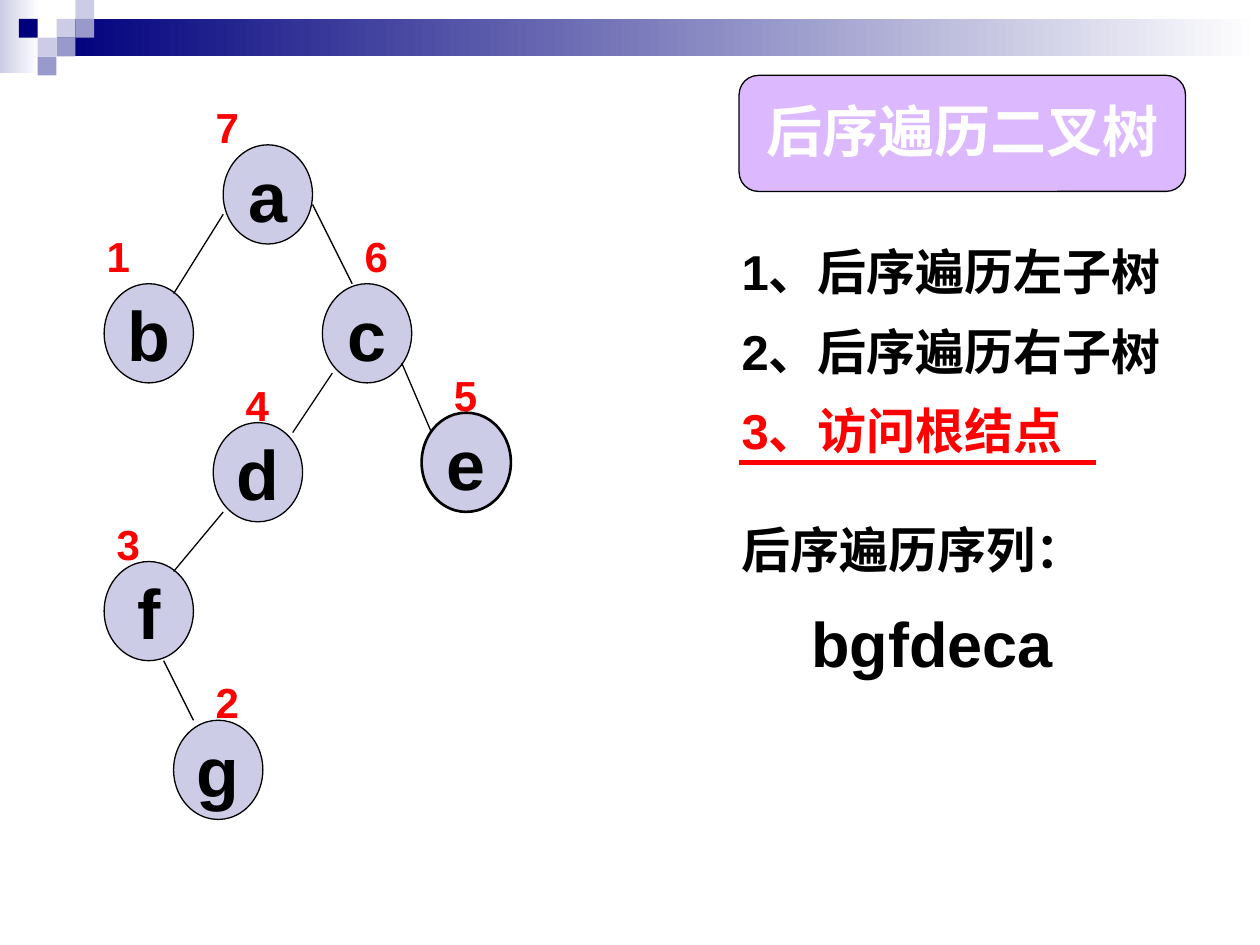
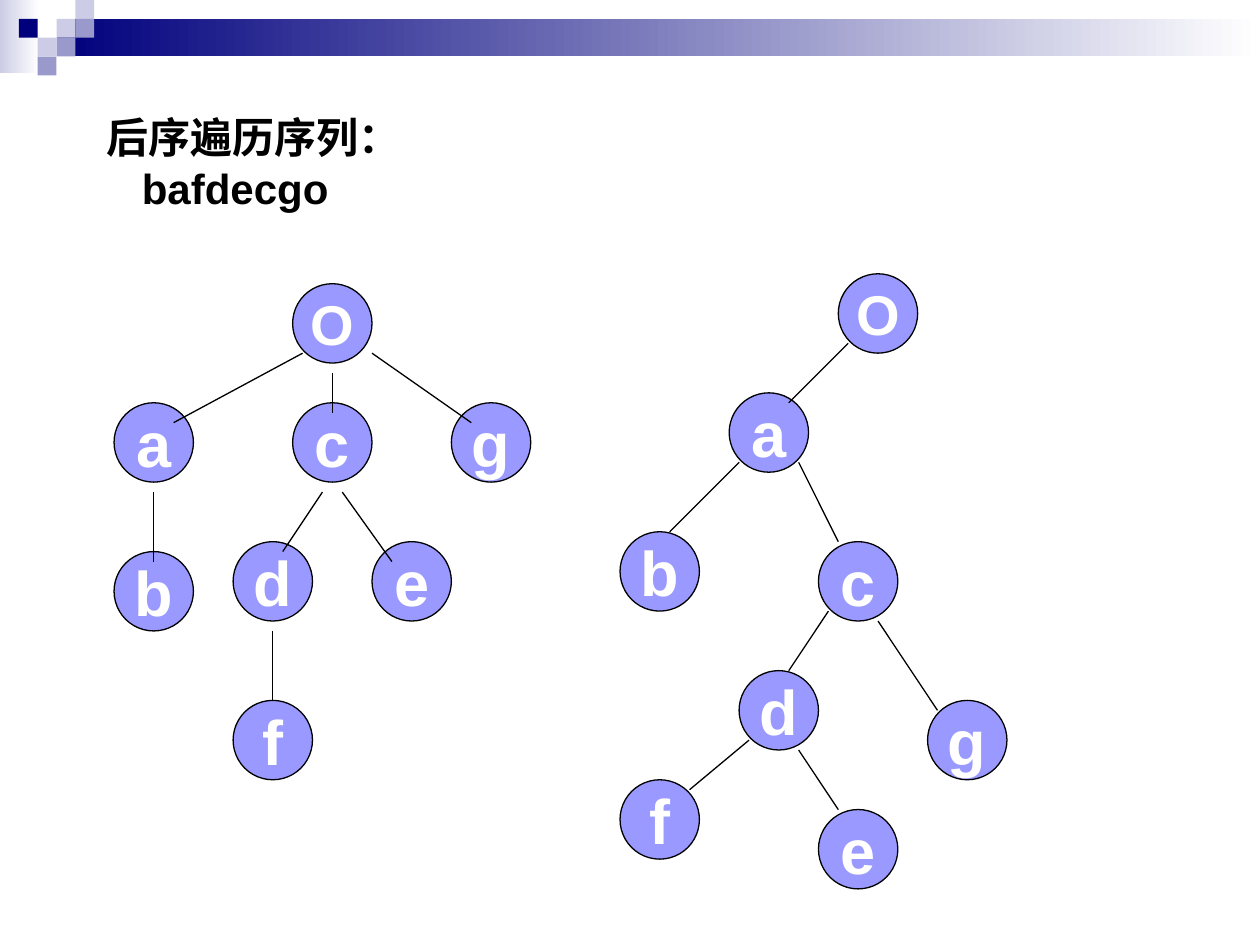
from dataclasses import dataclass
from typing import NamedTuple

from lxml.etree import SubElement
from pptx import Presentation
from pptx.dml.color import RGBColor
from pptx.enum.shapes import MSO_CONNECTOR, MSO_SHAPE
from pptx.enum.text import MSO_ANCHOR, PP_ALIGN
from pptx.oxml.ns import qn
from pptx.util import Cm, Pt


@dataclass(frozen=True)
class Theme:
    navy: str = "00007D"
    lavender: str = "CCCCE6"
    slate: str = "9999CC"
    periwinkle: str = "9999FF"
    violet: str = "CC99FF"
    white: str = "FFFFFF"
    black: str = "000000"
    red: str = "FF0000"
    font: str = "Arial"
    title_font: str = "Noto Sans CJK SC"
    mark_size: int = 24
    step_size: int = 28
    title_size: int = 32
    result_size: int = 36
    node_size: int = 40


THEME = Theme()


class Box(NamedTuple):
    left: float
    top: float
    width: float
    height: float


class Node(NamedTuple):
    label: str
    left: float
    top: float
    size: int = THEME.result_size
    outline: float = 0.75


class Edge(NamedTuple):
    start: tuple[float, float]
    end: tuple[float, float]


class NodeStyle(NamedTuple):
    width: float
    height: float
    fill: str
    color: str


class Mark(NamedTuple):
    """Visiting order of a node."""
    number: int
    left: float
    top: float


class Line(NamedTuple):
    text: str
    size: int
    color: str = THEME.black
    before: float = 0
    indent: float = 0


GRID = 0.38
SQUARES = [
    (2, 1, THEME.lavender), (3, 0, THEME.lavender), (3, 1, THEME.slate),
    (1, 2, THEME.lavender), (0, 1, THEME.navy), (2, 2, THEME.slate),
    (1, 3, THEME.slate),
]

BINARY_STYLE = NodeStyle(1.8, 2, THEME.lavender, THEME.black)
BINARY_NODES = [
    Node(label, left, top, THEME.node_size, outline)
    for label, left, top, outline in [
        ("a", 4.5, 2.92, 0.75), ("b", 2.1, 5.72, 0.75), ("c", 6.5, 5.72, 0.75),
        ("d", 4.3, 8.52, 0.75), ("f", 2.1, 11.32, 0.75), ("g", 3.5, 14.52, 0.75),
        ("e", 8.5, 8.32, 1.5),
    ]
]
BINARY_EDGES = [
    Edge((4.5, 4.32), (3.5, 5.92)), Edge((6.3, 4.12), (7.1, 5.72)),
    Edge((8.1, 7.32), (8.7, 8.72)), Edge((3.3, 13.32), (3.9, 14.52)),
    Edge((6.7, 7.52), (5.9, 8.72)), Edge((4.5, 10.32), (3.5, 11.52)),
]
MARKS = [
    Mark(1, 1.9, 4.52), Mark(2, 4.1, 13.52), Mark(3, 2.1, 10.32),
    Mark(4, 4.7, 7.52), Mark(5, 8.9, 7.32), Mark(6, 7.1, 4.52),
    Mark(7, 4.1, 1.92),
]
STEPS = [
    Line("1、后序遍历左子树", THEME.step_size),
    Line("2、后序遍历右子树", THEME.step_size, before=12),
    Line("3、访问根结点", THEME.step_size, THEME.red, before=12),
    Line("后序遍历序列：", THEME.step_size, before=34),
    Line("bgfdeca", THEME.result_size, before=15, indent=1.41),
]

FOREST_STYLE = NodeStyle(1.6, 1.6, THEME.periwinkle, THEME.white)
CONVERTED_NODES = [
    Node("O", 16.9, 5.52, THEME.title_size), Node("a", 14.7, 7.92),
    Node("c", 16.5, 10.92), Node("g", 18.7, 14.12), Node("b", 12.5, 10.72),
    Node("d", 14.9, 13.52), Node("e", 16.5, 16.32), Node("f", 12.5, 15.72),
]
CONVERTED_EDGES = [
    Edge((15.9, 8.12), (17.1, 6.92)), Edge((14.9, 9.32), (13.5, 10.72)),
    Edge((16.1, 9.32), (16.9, 10.92)), Edge((17.7, 12.52), (18.9, 14.32)),
    Edge((16.7, 12.32), (15.9, 13.52)), Edge((15.1, 14.92), (13.9, 15.92)),
    Edge((16.1, 15.12), (16.9, 16.32)),
]
GENERAL_NODES = [
    Node("O", 5.9, 5.72, THEME.title_size), Node("a", 2.3, 8.12),
    Node("c", 5.9, 8.12), Node("g", 9.1, 8.12), Node("b", 2.3, 11.12),
    Node("d", 4.7, 10.92), Node("e", 7.5, 10.92), Node("f", 4.7, 14.12),
]
GENERAL_EDGES = [
    Edge((6.7, 7.52), (6.7, 8.32)), Edge((6.1, 7.12), (3.5, 8.52)),
    Edge((7.5, 7.12), (9.5, 8.52)), Edge((3.1, 9.92), (3.1, 11.32)),
    Edge((6.5, 9.92), (5.7, 11.12)), Edge((6.9, 9.92), (7.9, 11.32)),
    Edge((5.5, 12.72), (5.5, 14.12)),
]
SEQUENCE = [
    Line("后序遍历序列：", THEME.mark_size),
    Line("bafdecgo", THEME.mark_size, indent=0.71),
]


def rgb(color: str) -> RGBColor:
    return RGBColor.from_string(color)


def place(box: Box) -> tuple[Cm, ...]:
    return tuple(Cm(length) for length in box)


def write(paragraph, text: str, *, size: int, color: str,
          font: str = THEME.font, align=PP_ALIGN.LEFT,
          before: float = 0, indent: float = 0) -> None:
    paragraph.alignment = align
    paragraph.space_before = Pt(before)
    if indent:
        paragraph._p.get_or_add_pPr().set("marL", str(Cm(indent)))
    run = paragraph.add_run()
    run.text = text
    run.font.name = font
    run.font.size = Pt(size)
    run.font.bold = True
    run.font.color.rgb = rgb(color)
    if font == THEME.title_font:
        SubElement(run._r.get_or_add_rPr(), qn("a:ea"), typeface=font)


def add_filled(slide, kind, box: Box, fill: str, *, fade: bool = False,
               outline: float = 0):
    """Add a shape; fade runs its fill to white from left to right."""
    shape = slide.shapes.add_shape(kind, *place(box))
    shape.shadow.inherit = False
    if fade:
        shape.fill.gradient()
        shape.fill.gradient_angle = 0
        for stop, color in zip(shape.fill.gradient_stops, (fill, THEME.white)):
            stop.color.rgb = rgb(color)
    else:
        shape.fill.solid()
        shape.fill.fore_color.rgb = rgb(fill)
    if outline:
        shape.line.color.rgb = rgb(THEME.black)
        shape.line.width = Pt(outline)
    else:
        shape.line.fill.background()
    return shape


def add_label(shape, text: str, **text_format) -> None:
    frame = shape.text_frame
    frame.word_wrap = False
    frame.vertical_anchor = MSO_ANCHOR.MIDDLE
    write(frame.paragraphs[0], text, align=PP_ALIGN.CENTER, **text_format)


def add_lines(slide, box: Box, lines: list[Line]) -> None:
    frame = slide.shapes.add_textbox(*place(box)).text_frame
    frame.word_wrap = True
    for index, line in enumerate(lines):
        paragraph = frame.add_paragraph() if index else frame.paragraphs[0]
        write(paragraph, line.text, size=line.size, color=line.color,
              before=line.before, indent=line.indent)


def add_edge(slide, edge: Edge, color: str = THEME.black,
             width: float = 0.75) -> None:
    connector = slide.shapes.add_connector(
        MSO_CONNECTOR.STRAIGHT, *place(Box(*edge.start, *edge.end)))
    connector.line.color.rgb = rgb(color)
    connector.line.width = Pt(width)
    SubElement(connector._element.spPr, qn("a:effectLst"))


def add_tree(slide, nodes: list[Node], edges: list[Edge],
             style: NodeStyle) -> None:
    for node in nodes:
        box = Box(node.left, node.top, style.width, style.height)
        shape = add_filled(slide, MSO_SHAPE.OVAL, box, style.fill,
                           outline=node.outline)
        add_label(shape, node.label, size=node.size, color=style.color)
    for edge in edges:
        add_edge(slide, edge)


def add_title(slide, text: str) -> None:
    shape = add_filled(slide, MSO_SHAPE.ROUNDED_RECTANGLE,
                       Box(14.9, 1.52, 9, 2.34), THEME.violet, outline=0.75)
    color = shape._element.spPr.find(qn("a:solidFill"))[0]
    SubElement(color, qn("a:alpha"), val="68000")
    shape.text_frame.margin_top = 0
    add_label(shape, text, size=THEME.title_size, color=THEME.white,
              font=THEME.title_font)


def add_banded_slide(presentation):
    slide = presentation.slides.add_slide(presentation.slide_layouts[6])
    rectangle = MSO_SHAPE.RECTANGLE
    add_filled(slide, rectangle, Box(0, 0, 0.79, 1.48), THEME.lavender, fade=True)
    add_filled(slide, rectangle, Box(3 * GRID, GRID, 24.26, 2 * GRID),
               THEME.navy, fade=True)
    for column, row, color in SQUARES:
        box = Box((column + 1) * GRID, row * GRID, GRID, GRID)
        add_filled(slide, rectangle, box, color)
    return slide


def build_binary_tree_slide(presentation) -> None:
    slide = add_banded_slide(presentation)
    add_lines(slide, Box(14.7, 4.74, 9.8, 10.5), STEPS)
    add_tree(slide, BINARY_NODES, BINARY_EDGES, BINARY_STYLE)
    for mark in MARKS:
        add_lines(slide, Box(mark.left, mark.top, 0.98, 1.27),
                  [Line(str(mark.number), THEME.mark_size, THEME.red)])
    add_edge(slide, Edge((14.9, 9.32), (22.1, 9.32)), THEME.red, 3)
    add_title(slide, "后序遍历二叉树")


def build_forest_slide(presentation) -> None:
    slide = add_banded_slide(presentation)
    add_tree(slide, CONVERTED_NODES, CONVERTED_EDGES, FOREST_STYLE)
    add_tree(slide, GENERAL_NODES, GENERAL_EDGES, FOREST_STYLE)
    add_lines(slide, Box(1.9, 2.13, 8.6, 2.29), SEQUENCE)


def main() -> None:
    presentation = Presentation()
    presentation.slide_width = Cm(25.4)
    presentation.slide_height = Cm(19.05)
    build_binary_tree_slide(presentation)
    build_forest_slide(presentation)
    presentation.save("out.pptx")


if __name__ == "__main__":
    main()
